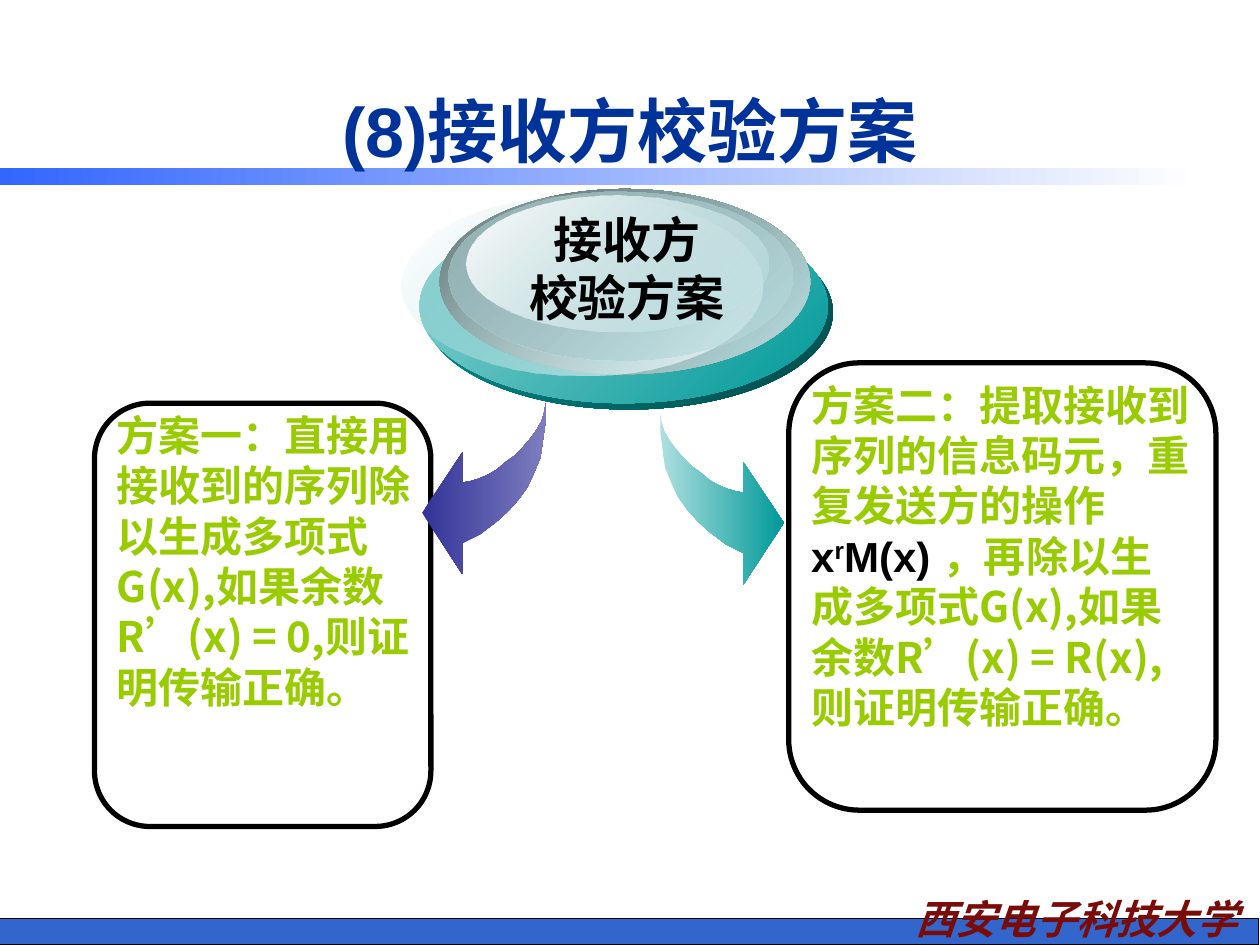
from pptx import Presentation
from pptx.dml.color import RGBColor
from pptx.enum.shapes import MSO_SHAPE
from pptx.enum.text import MSO_ANCHOR, PP_ALIGN
from pptx.oxml import parse_xml
from pptx.oxml.ns import nsdecls
from pptx.util import Inches, Pt

CJK, LATIN = "Noto Sans CJK SC", "Arial"
BLACK = RGBColor(0x00, 0x00, 0x00)
WHITE = RGBColor(0xFF, 0xFF, 0xFF)
BAR_BLUE = RGBColor(0x33, 0x66, 0xCC)
RULE_BLUE = RGBColor(0x33, 0x66, 0xFF)
TITLE_BLUE = RGBColor(0x00, 0x33, 0x99)
MAROON = RGBColor(0x79, 0x0C, 0x09)
LIME = RGBColor(0x99, 0xCC, 0x00)
INDIGO = RGBColor(0x33, 0x33, 0x99)
LAVENDER = RGBColor(0x7D, 0x7D, 0xBE)
TEAL = RGBColor(0x00, 0x99, 0x99)
DARK_TEAL = RGBColor(0x00, 0x4A, 0x4A)
SOFT_TEAL = RGBColor(0x8E, 0xD2, 0xD2)
PALE_TEAL = RGBColor(0xAE, 0xDF, 0xDF)
SLATE = RGBColor(0x57, 0x68, 0x69)
GREY_TEAL = RGBColor(0x94, 0xB1, 0xB4)
ICE = RGBColor(0xBB, 0xE0, 0xE3)
FROST = RGBColor(0xE7, 0xF4, 0xF5)

# Left arrow outline, in inches; the right arrow mirrors it
ARROW = [(4.33, 3.2), (4.33, 3.35), (4.31, 3.49), (4.29, 3.63), (4.24, 3.75),
         (4.19, 3.86), (4.12, 3.96), (4.03, 4.06), (3.93, 4.15), (3.81, 4.24),
         (3.67, 4.31), (3.67, 4.56), (3.35, 4.07), (3.67, 3.59), (3.67, 3.83),
         (3.73, 3.82), (3.8, 3.8), (3.87, 3.77), (3.94, 3.73), (4.01, 3.67),
         (4.08, 3.62), (4.15, 3.55), (4.21, 3.48), (4.26, 3.41), (4.3, 3.34),
         (4.32, 3.27)]

# Disc layers: offset in the disc's box, size, start and end (colour, opacity %)
DISC = [((0.18, 0.21, 3.24, 1.54), (TEAL, 100), (DARK_TEAL, 100)),
        ((0.14, 0.16, 3.24, 1.54), (SOFT_TEAL, 100), (TEAL, 100)),
        ((0.3, 0, 2.94, 1.47), (SLATE, 100), (ICE, 100)),
        ((0, 0.05, 2.86, 1.43), (ICE, 0), (FROST, 100)),
        ((0.37, 0.02, 2.73, 1.34), (GREY_TEAL, 100), (ICE, 48)),
        ((0.51, 0.05, 2.4, 1.08), (WHITE, 100), (ICE, 38))]


def set_gradient(sp, start, end, angle=0):
    """Fill a shape with a two-stop gradient; angle runs clockwise."""
    stops = "".join(
        f'<a:gs pos="{pos}"><a:srgbClr val="{color}">'
        f'<a:alpha val="{opacity * 1000}"/></a:srgbClr></a:gs>'
        for pos, (color, opacity) in ((0, start), (100000, end)))
    sp.fill.background()
    no_fill = sp._element.spPr.find(
        "{http://schemas.openxmlformats.org/drawingml/2006/main}noFill")
    no_fill.getparent().replace(no_fill, parse_xml(
        f'<a:gradFill {nsdecls("a")} rotWithShape="1"><a:gsLst>{stops}</a:gsLst>'
        f'<a:lin ang="{angle * 60000}" scaled="0"/></a:gradFill>'))


def add_preset(s, kind, box):
    sp = s.shapes.add_shape(kind, *map(Inches, box))
    sp.shadow.inherit = False
    sp.line.fill.background()
    return sp


def add_run(p, text, **fmt):
    r = p.add_run()
    r.text = text
    r.font.color.rgb = fmt.pop("color")
    for name, value in fmt.items():
        setattr(r.font, name, value)
    r._r.get_or_add_rPr().append(
        parse_xml(f'<a:ea {nsdecls("a")} typeface="{CJK}"/>'))
    return r


def add_text(s, box, paragraphs, align=PP_ALIGN.LEFT, wrap=True, **fmt):
    """Each paragraph is a list of (text, format changes)."""
    tf = s.shapes.add_textbox(*map(Inches, box)).text_frame
    tf.word_wrap = wrap
    for i, runs in enumerate(paragraphs):
        p = tf.add_paragraph() if i else tf.paragraphs[0]
        p.alignment = align
        for text, change in runs:
            r = add_run(p, text, **{"bold": True, **fmt, **change})
            if text == "r":
                r._r.get_or_add_rPr().set("baseline", "30000")


def footer(s, left, top, width, height):
    bar = add_preset(s, MSO_SHAPE.RECTANGLE, (left, top, width, height))
    bar.fill.solid()
    bar.fill.fore_color.rgb = BAR_BLUE
    bar.line.color.rgb = BLACK
    bar.line.width = Pt(0.75)
    add_text(s, (left + 6.98, top - 0.24, 3.15, 0.49),
             [[("西安电子科技大学", {})]], PP_ALIGN.CENTER,
             size=Pt(23), name=CJK, color=MAROON, italic=True)


def header(s, left, top, width, height):
    rule = add_preset(s, MSO_SHAPE.RECTANGLE, (0, top + 0.78, 9.51, 0.14))
    set_gradient(rule, (RULE_BLUE, 100), (WHITE, 100))
    title = s.shapes.title
    s.shapes._spTree.append(title._element)  # in front of the rule
    box = {"left": left, "top": top, "width": width, "height": height}
    for name, value in box.items():
        setattr(title, name, Inches(value))
    tf = title.text_frame
    tf.vertical_anchor = MSO_ANCHOR.MIDDLE
    p = tf.paragraphs[0]
    p.alignment = PP_ALIGN.CENTER
    add_run(p, "(8)接收方校验方案", size=Pt(40), name=LATIN,
            color=TITLE_BLUE, bold=True)


def scheme(s, box, text_box, runs):
    frame = add_preset(s, MSO_SHAPE.ROUNDED_RECTANGLE, box)
    frame.adjustments[0] = 0.165
    frame.fill.background()
    frame.line.color.rgb = BLACK
    frame.line.width = Pt(3)
    add_text(s, text_box, [runs], size=Pt(24), name=CJK, color=LIME)


def arrow(s, points, start, end):
    builder = s.shapes.build_freeform(
        *map(Inches, points[0]), scale=1.0)
    builder.add_line_segments(
        [(Inches(x), Inches(y)) for x, y in points[1:]], close=True)
    sp = builder.convert_to_shape()
    sp.shadow.inherit = False
    sp.line.fill.background()
    set_gradient(sp, (start, 100), (end, 100))


def disc(s, left, top):
    for (dx, dy, width, height), start, end in DISC:
        layer = add_preset(s, MSO_SHAPE.OVAL,
                           (left + dx, top + dy, width, height))
        set_gradient(layer, start, end, 45)
    add_text(s, (left + 0.91, top + 0.11, 1.75, 1.04),
             [[("接收方", {})], [("校验方案", {})]], PP_ALIGN.CENTER, False,
             size=Pt(28), name=LATIN, color=BLACK)


def main():
    prs = Presentation()
    prs.slide_width, prs.slide_height = Inches(10), Inches(7.5)
    s = prs.slides.add_slide(prs.slide_layouts[5])
    footer(s, -0.01, 7.29, 10, 0.21)
    header(s, 0.5, 0.55, 9, 0.95)

    # The two schemes
    formula = {"name": LATIN, "color": BLACK}
    scheme(s, (6.26, 2.88, 3.39, 3.55), (6.34, 2.96, 3.23, 3.3),
           [("方案二：提取接收到序列的信息码元，重复发送方的操作", {}),
            ("x", formula), ("r", formula), ("M(x) ", formula),
            ("，再除以生成多项式G(x),如果余数R", {}), ("’", {"name": LATIN}),
            ("(x) = R(x),则证明传输正确。", {})])
    scheme(s, (0.75, 3.2, 2.67, 3.36), (0.83, 3.2, 2.68, 2.9),
           [("方案一：直接用接收到的序列除以生成多项式G(x),如果余数R", {}),
            ("’", {"name": LATIN}), ("(x) = 0,则证明传输正确。", {})])

    # Arrows from the disc to the schemes
    arrow(s, ARROW, INDIGO, LAVENDER)
    arrow(s, [(9.57 - x, y + 0.08) for x, y in ARROW], PALE_TEAL, TEAL)
    disc(s, 3.19, 1.5)
    prs.save("out.pptx")


if __name__ == "__main__":
    main()
